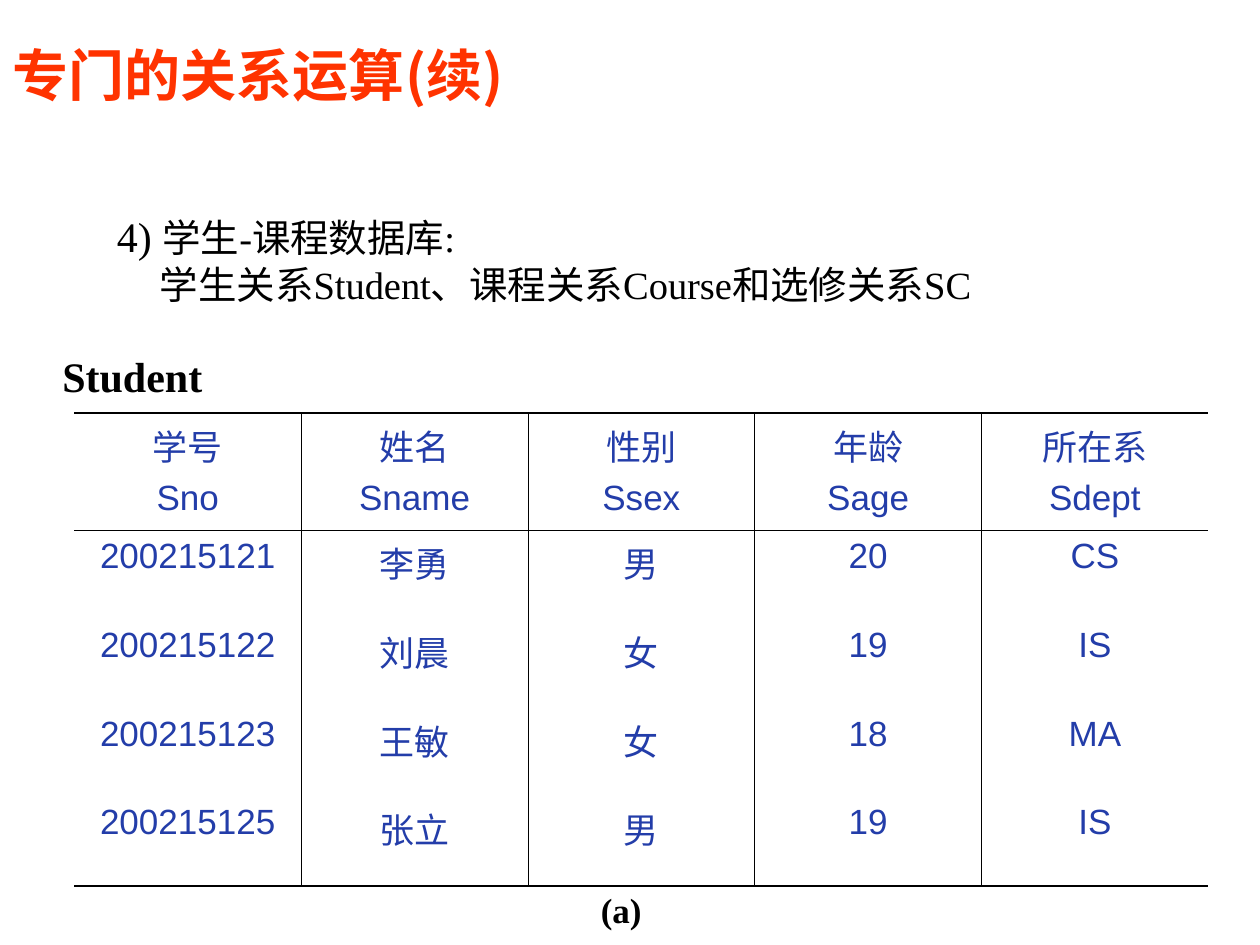
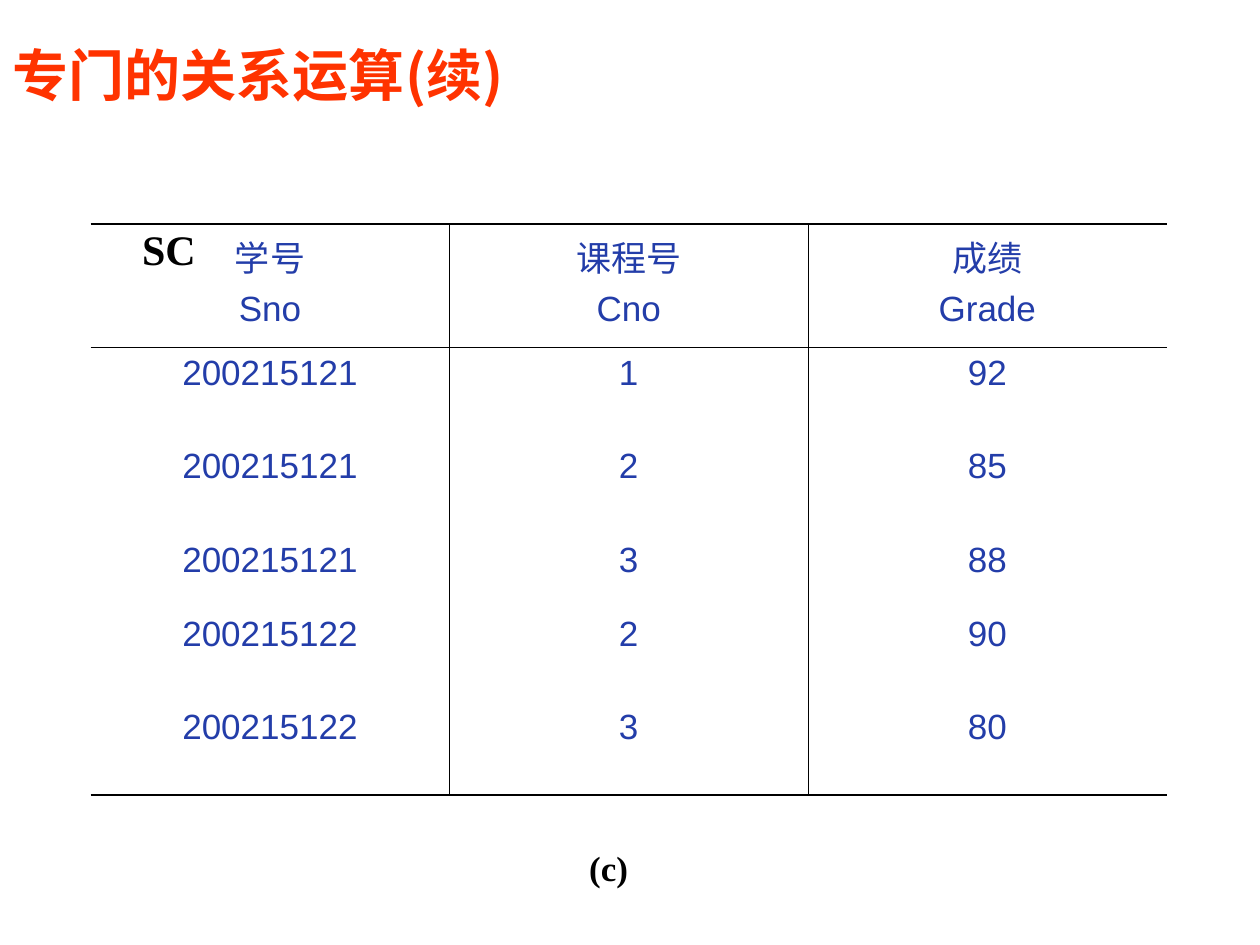
from lxml import etree
from pptx import Presentation
from pptx.dml.color import RGBColor
from pptx.enum.text import MSO_ANCHOR, MSO_AUTO_SIZE, PP_ALIGN
from pptx.oxml.ns import qn
from pptx.util import Inches, Pt

LEFT, CENTER = PP_ALIGN.LEFT, PP_ALIGN.CENTER
TOP, MIDDLE = MSO_ANCHOR.TOP, MSO_ANCHOR.MIDDLE
NO_AUTOFIT = MSO_AUTO_SIZE.NONE

COLORS = {"title": "FF3300", "text": "000000", "cell": "233DA9", "rule": "000000"}
CJK, SERIF, SANS = "Noto Sans CJK SC", "Times New Roman", "Arial"
THICK, THIN = 1.08, 0.45
TITLE = "专门的关系运算(续)"
TITLE_BOX = (0, 0.28, 8.08, 0.62)

SLIDES = [
    {
        "intro": {
            "box": (0.83, 1.62, 8.19, 0.87),
            "lines": [
                [("4) ", 24), ("学生-课程数据库:", 22)],
                [("学生关系Student、课程关系Course和选修关系SC", 22)],
            ],
        },
        "relation": ("Student", (0.35, 2.65, 1.4, 0.67)),
        "caption": ("(a)", (1.14, 7, 7.58, 0.44)),
        "table_box": (0.59, 3.28, 9, 3.75),
        "row_shares": [0.93, 0.71, 0.7, 0.7, 0.71],
        "rows": [
            ["学号\nSno", "姓名\nSname", "性别\nSsex", "年龄\nSage", "所在系\nSdept"],
            ["200215121", "李勇", "男", "20", "CS"],
            ["200215122", "刘晨", "女", "19", "IS"],
            ["200215123", "王敏", "女", "18", "MA"],
            ["200215125", "张立", "男", "19", "IS"],
        ],
    },
    {
        "relation": ("SC", (0.75, 1.7, 1.18, 0.55)),
        "caption": ("(c)", (4.37, 6.67, 0.92, 0.77)),
        "table_box": (0.72, 1.78, 8.54, 4.53),
        "row_shares": [0.98, 0.74, 0.74, 0.59, 0.74, 0.74],
        "rows": [
            ["学号\nSno", "课程号\nCno", "成绩\nGrade"],
            ["200215121", "1", "92"],
            ["200215121", "2", "85"],
            ["200215121", "3", "88"],
            ["200215122", "2", "90"],
            ["200215122", "3", "80"],
        ],
    },
]


def write(frame, lines, size=20, font=SERIF, color="text", bold=False,
          align=CENTER, space=0, hanging=0):
    for index, line in enumerate(lines):
        paragraph = frame.paragraphs[0] if index == 0 else frame.add_paragraph()
        paragraph.alignment = align
        paragraph.space_before = Pt(space if index else 0)
        if hanging:
            properties = paragraph._p.get_or_add_pPr()
            properties.set("marL", str(Inches(hanging)))
            properties.set("indent", str(0 if index else -Inches(hanging)))
        for text, run_size in [(line, size)] if isinstance(line, str) else line:
            run = paragraph.add_run()
            run.text = text
            run.font.size = Pt(run_size)
            run.font.bold = bold
            run.font.name = font
            run.font.color.rgb = RGBColor.from_string(COLORS[color])
            east_asian = etree.Element(qn("a:ea"), typeface=CJK)
            run._r.rPr.find(qn("a:latin")).addnext(east_asian)


def place(part, box):
    part.left, part.top, part.width, part.height = map(Inches, box)


def add_label(slide, lines, box, anchor=TOP, wrap=True, **style):
    label = slide.shapes.add_textbox(*map(Inches, box))
    label.text_frame.word_wrap = wrap
    label.text_frame.vertical_anchor = anchor
    write(label.text_frame, lines, **style)


def set_borders(cell, widths):
    properties = cell._tc.get_or_add_tcPr()
    for position, (side, width) in enumerate(zip("LRTB", widths)):
        border = etree.Element(qn(f"a:ln{side}"), w=str(Pt(width)))
        if width:
            fill = etree.SubElement(border, qn("a:solidFill"))
            etree.SubElement(fill, qn("a:srgbClr"), val=COLORS["rule"])
        else:
            etree.SubElement(border, qn("a:noFill"))
        properties.insert(position, border)


def add_relation_table(slide, rows, box, row_shares):
    row_count, column_count = len(rows), len(rows[0])
    table = slide.shapes.add_table(row_count, column_count, *map(Inches, box)).table
    table.first_row = table.horz_banding = False
    for column in table.columns:
        column.width = Inches(box[2] / column_count)
    for r, (row, share) in enumerate(zip(rows, row_shares)):
        table.rows[r].height = Inches(box[3] * share / sum(row_shares))
        for c, text in enumerate(row):
            cell = table.cell(r, c)
            cell.fill.background()
            write(cell.text_frame, text.split("\n"), font=SANS, color="cell", space=5)
            set_borders(cell, (
                THIN if c else 0,
                THIN if c < column_count - 1 else 0,
                {0: THICK, 1: THIN}.get(r, 0),
                {0: THIN, row_count - 1: THICK}.get(r, 0),
            ))


def add_slide(deck, content):
    slide = deck.slides.add_slide(deck.slide_layouts[5])
    title = slide.shapes.title
    place(title, TITLE_BOX)
    title.text_frame.auto_size = NO_AUTOFIT
    title.text_frame.vertical_anchor = MIDDLE
    write(title.text_frame, [TITLE], size=32, font=CJK, color="title",
          bold=True, align=LEFT)
    caption, caption_box = content["caption"]
    add_label(slide, [caption], caption_box, bold=True)
    relation, relation_box = content["relation"]
    add_label(slide, [relation], relation_box, anchor=MIDDLE, wrap=False,
              size=24, bold=True)
    if "intro" in content:
        add_label(slide, content["intro"]["lines"], content["intro"]["box"],
                  align=LEFT, hanging=0.34)
    add_relation_table(slide, content["rows"], content["table_box"],
                       content["row_shares"])


def main():
    deck = Presentation()
    deck.slide_width, deck.slide_height = Inches(10), Inches(7.5)
    for content in SLIDES:
        add_slide(deck, content)
    deck.save("out.pptx")


if __name__ == "__main__":
    main()
